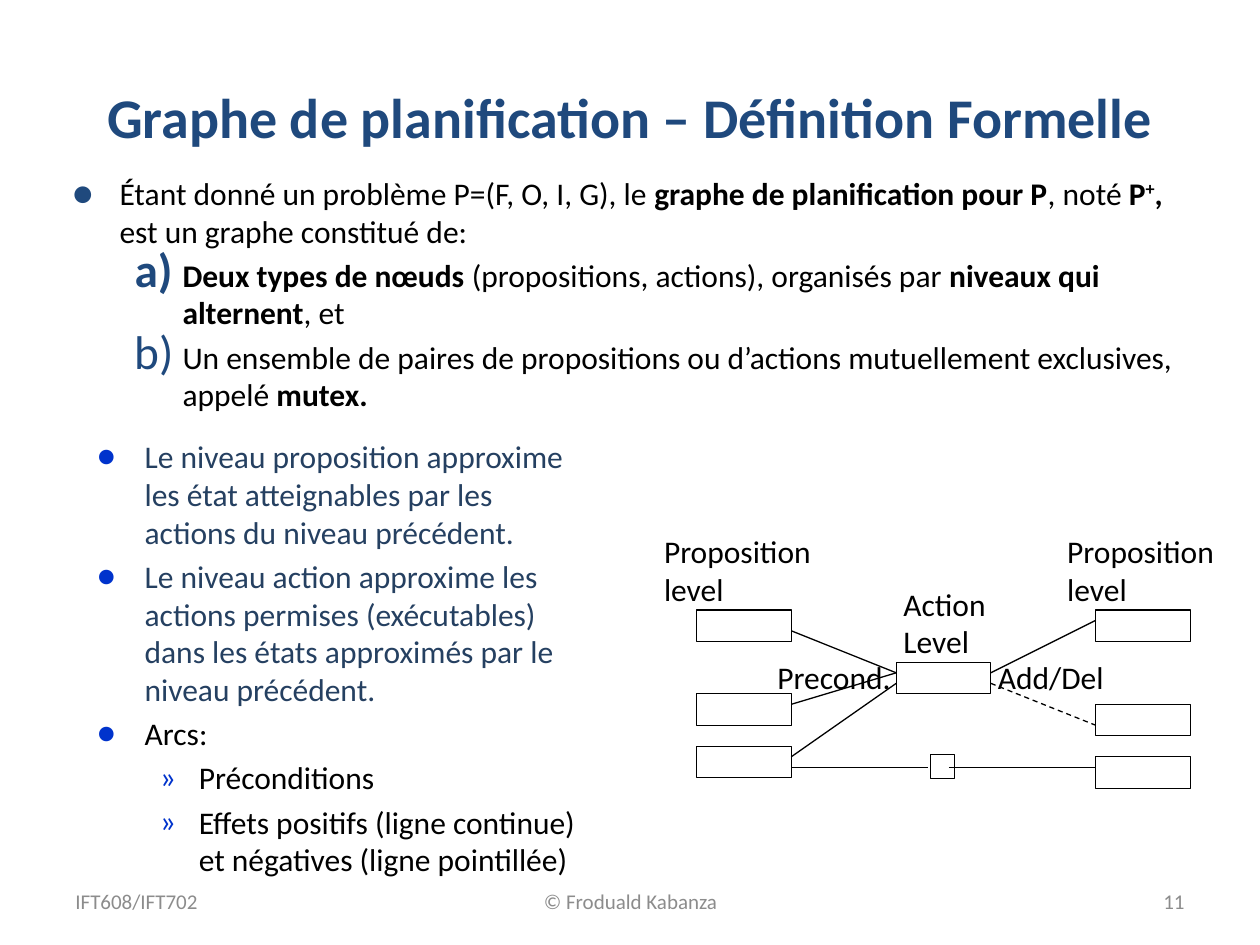
"""Build the slide that defines a planning graph formally."""
from lxml import etree
from pptx import Presentation, util as u
from pptx.dml.color import RGBColor
from pptx.enum import dml, shapes, text
from pptx.oxml.ns import qn

THEME = {
    "font": "Calibri",
    "title": "1F497D", "ink": "000000", "claim": "254061",
    "bullet": "0033CC", "muted": "8C8C8C",
    "title_size": 32, "body_size": 18, "footer_size": 12,
    "gap": 3.6, "line": 0.75, "thin": 0.5,
}
WIDTH, HEIGHT = 10, 7.5
UNIT = 1 / 12
ORIGIN = (5.53, 4.84)
NODE = (9, 3)
COLUMNS = (0, 19, 38)

TITLE = "Graphe de planification – Définition Formelle"
NORMAL, BOLD, SUPER = "normal", "bold", "super"
DEFINITION = [
    ("point", "ink", [
        ("Étant donné un problème P=(F, O, I, G), le ", NORMAL),
        ("graphe de planification pour P", BOLD), (", noté", NORMAL),
        (" P", BOLD), ("+", SUPER), (", ", BOLD),
        ("est un graphe constitué de:", NORMAL)]),
    ("letter", "ink", [
        ("Deux types de nœuds ", BOLD),
        ("(propositions, actions), organisés par ", NORMAL),
        ("niveaux qui alternent", BOLD), (", et", NORMAL)]),
    ("letter", "ink", [
        ("Un ensemble de paires de propositions ou d’actions mutuellement "
         "exclusives, appelé ", NORMAL), ("mutex.", BOLD)]),
]
REMARKS = [
    ("disc", "claim", [("Le niveau proposition approxime les état atteignables "
                        "par les actions du niveau précédent.", NORMAL)]),
    ("disc", "claim", [("Le niveau action approxime les actions permises (exécutables) "
                        "dans les états approximés par le niveau précédent.", NORMAL)]),
    ("disc", "ink", [("Arcs:", NORMAL)]),
    ("quote", "ink", [("Préconditions", NORMAL)]),
    ("quote", "ink", [("Effets positifs (ligne continue) et négatives "
                       "(ligne pointillée)", NORMAL)]),
]
BULLETS = {
    "point": dict(level=0, indent=(0.38, 0.38), color="title", size=150,
                  mark=("a:buChar", "char", "•")),
    "letter": dict(level=1, indent=(0.88, 0.38), color="title", size=150,
                   mark=("a:buAutoNum", "type", "alphaLcParenR")),
    "disc": dict(level=0, indent=(0.38, 0.38), color="bullet", size=100,
                 mark=("a:buChar", "char", "●")),
    "quote": dict(level=1, indent=(0.81, 0.31), color="bullet", size=100,
                  mark=("a:buChar", "char", "»")),
}
FOOTERS = [
    ("IFT608/IFT702", 0.5, 2.33, text.PP_ALIGN.LEFT),
    ("© Froduald Kabanza", 3.42, 3.17, text.PP_ALIGN.CENTER),
    ("11", 7.17, 2.33, text.PP_ALIGN.RIGHT),
]
NODES = [(0, 0), (0, 8), (0, 13), (1, 5), (2, 0), (2, 9), (2, 14)]
NOOP = (22.3, 13.8, 2.25, 2.25)
ARCS = [
    ((9, 2), (19, 6), False), ((9, 9), (19, 6), False), ((9, 14), (19, 7), False),
    ((28, 6), (38, 1), False), ((28, 7), (38, 11), True),
    ((9, 15), (22, 15), False), ((24, 15), (38, 15), False),
]
LABELS = [
    (["Proposition", "level"], -4.3, -8, 1.42),
    (["Proposition", "level"], 34.1, -8, 1.42),
    (["Action", "Level"], 18.5, -3, 0.89),
    (["Precond."], 6.5, 4, 1.11),
    (["Add/Del"], 27.5, 4, 1.08),
]


def color(name):
    return RGBColor.from_string(THEME[name])


def place(column, row):
    return u.Inches(ORIGIN[0] + column * UNIT), u.Inches(ORIGIN[1] + row * UNIT)


def style(para, size, ink, bold=False):
    font = para.font
    font.name, font.size, font.bold = THEME["font"], u.Pt(THEME[size]), bold
    font.color.rgb = color(ink)


def add_box(page, left, top, width, height, anchor=text.MSO_ANCHOR.TOP):
    box = page.shapes.add_textbox(*map(u.Inches, (left, top, width, height)))
    box.text_frame.word_wrap = True
    box.text_frame.vertical_anchor = anchor
    return box.text_frame


def add_line(page, frame_at, words, size, ink, align, bold=False):
    para = add_box(page, *frame_at, text.MSO_ANCHOR.MIDDLE).paragraphs[0]
    para.text, para.alignment = words, align
    style(para, size, ink, bold)


def add_bullet(para, level, indent, color, size, mark):
    para.level = level
    props = para._p.get_or_add_pPr()
    props.set("marL", str(u.Inches(indent[0])))
    props.set("indent", str(-u.Inches(indent[1])))
    tint = etree.SubElement(props, qn("a:buClr"))
    etree.SubElement(tint, qn("a:srgbClr"), val=THEME[color])
    etree.SubElement(props, qn("a:buSzPct"), val=str(size * 1000))
    etree.SubElement(props, qn("a:buFont"), typeface=THEME["font"])
    tag, key, value = mark
    etree.SubElement(props, qn(tag)).set(key, value)


def add_list(page, frame_at, items):
    frame = add_box(page, *frame_at)
    for index, (kind, ink, pieces) in enumerate(items):
        para = frame.add_paragraph() if index else frame.paragraphs[0]
        add_bullet(para, **BULLETS[kind])
        if index:
            para.space_before = u.Pt(THEME["gap"])
        style(para, "body_size", ink)
        for words, look in pieces:
            span = para.add_run()
            span.text = words
            if look != NORMAL:
                span.font.bold = True
            if look == SUPER:
                span._r.get_or_add_rPr().set("baseline", "30000")


def add_node(page, column, row, width, height, line):
    node = page.shapes.add_shape(shapes.MSO_SHAPE.RECTANGLE, *place(column, row),
                                 u.Inches(width * UNIT), u.Inches(height * UNIT))
    node.shadow.inherit = False
    node.fill.background()
    node.line.color.rgb = color("ink")
    node.line.width = u.Pt(THEME[line])


def add_arc(page, start, end, dashed):
    arc = page.shapes.add_connector(shapes.MSO_CONNECTOR.STRAIGHT,
                                    *place(*start), *place(*end))
    arc.line.color.rgb = color("ink")
    arc.line.width = u.Pt(THEME["line"])
    if dashed:
        arc.line.dash_style = dml.MSO_LINE.DASH
    etree.SubElement(arc._element.spPr, qn("a:effectLst"))


def add_label(page, lines, column, row, width):
    left, top = place(column, row)
    frame = add_box(page, left.inches, top.inches, width, 0.1 + 0.3 * len(lines))
    frame.word_wrap = False
    frame.auto_size = text.MSO_AUTO_SIZE.SHAPE_TO_FIT_TEXT
    frame.text = "\n".join(lines)
    for para in frame.paragraphs:
        style(para, "body_size", "ink")


def main():
    deck = Presentation()
    deck.slide_width, deck.slide_height = u.Inches(WIDTH), u.Inches(HEIGHT)
    page = deck.slides.add_slide(deck.slide_layouts[6])
    add_line(page, (0.5, 0.3, 9, 1.25), TITLE, "title_size", "title",
             text.PP_ALIGN.CENTER, True)
    add_list(page, (0.47, 1.33, 8.95, 2.09), DEFINITION)
    for words, left, width, align in FOOTERS:
        add_line(page, (left, 6.95, width, 0.4), words, "footer_size", "muted", align)
    add_list(page, (0.67, 3.42, 4.1, 3.88), REMARKS)
    for column, row in NODES:
        add_node(page, COLUMNS[column], row, *NODE, "line")
    for arc in ARCS:
        add_arc(page, *arc)
    for label in LABELS:
        add_label(page, *label)
    add_node(page, *NOOP, "thin")
    deck.save("out.pptx")


if __name__ == "__main__":
    main()
